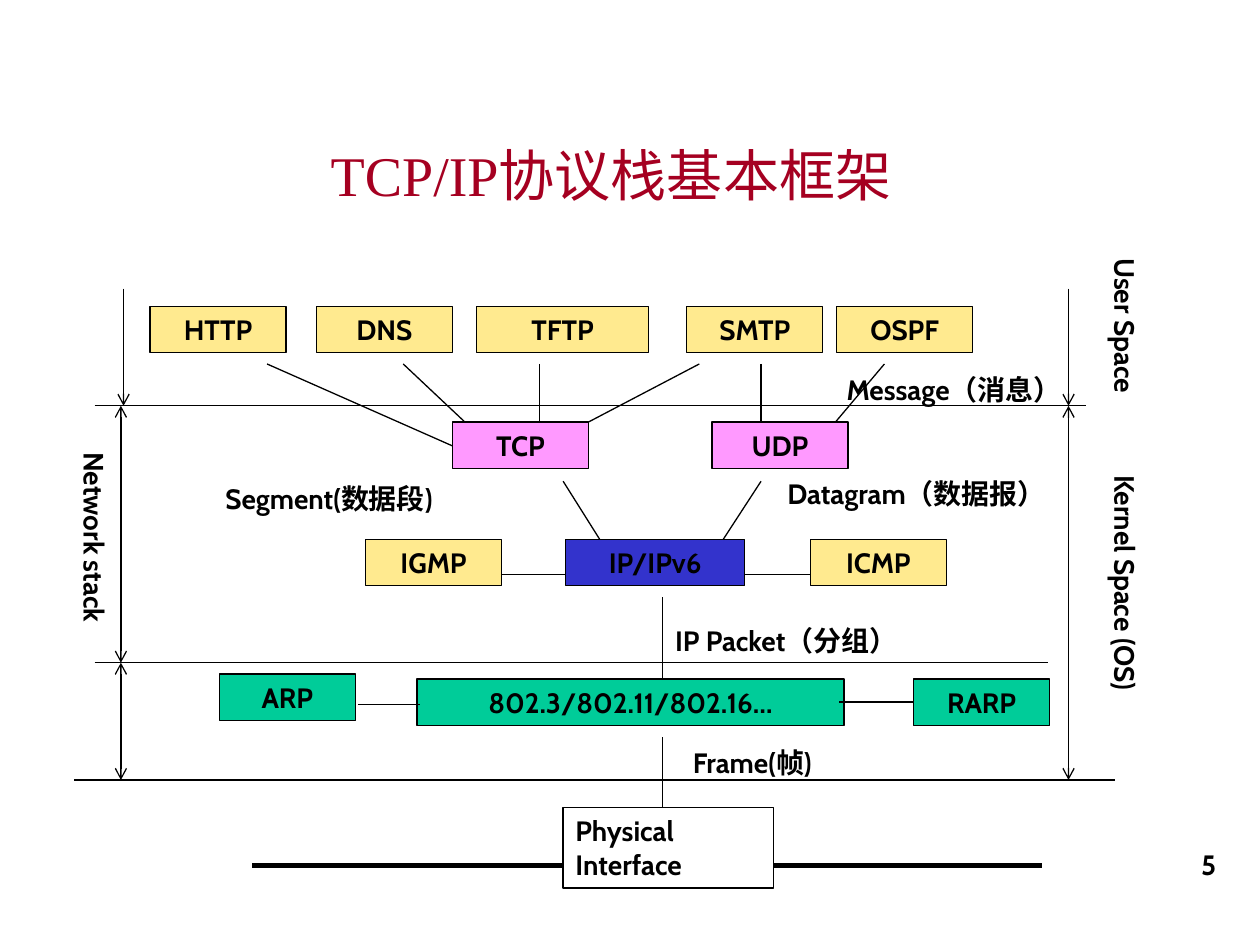
from collections import namedtuple

from lxml.etree import SubElement
from pptx import Presentation
from pptx.dml.color import RGBColor
from pptx.enum.shapes import MSO_CONNECTOR, MSO_SHAPE
from pptx.enum.text import MSO_ANCHOR, PP_ALIGN
from pptx.oxml.ns import qn
from pptx.util import Pt

COLORS = {
    "title": "A50021",
    "ink": "000000",
    "paper": "FFFFFF",
    "yellow": "FFEA8F",
    "pink": "FF99FF",
    "blue": "3333CC",
    "green": "00CC99",
}
NODE_W, NODE_H = 77.8, 26.6
Box = namedtuple("Box", "left top width height")


def rgb(name):
    return RGBColor.from_string(COLORS[name])


def set_text(holder, text, align, anchor=MSO_ANCHOR.TOP, font="Cabin", size=16, color="ink", bold=True):
    frame = holder.text_frame
    frame.word_wrap = True
    frame.vertical_anchor = anchor
    frame.text = text
    paragraph = frame.paragraphs[0]
    paragraph.alignment = align
    for run in paragraph.runs:
        run.font.name = font
        run.font.size = Pt(size)
        run.font.bold = bold
        run.font.color.rgb = rgb(color)


def add_node(slide, box, text, x, y, fill, width=NODE_W, height=NODE_H, align=PP_ALIGN.CENTER):
    node = slide.shapes.add_shape(
        MSO_SHAPE.RECTANGLE, Pt(box.left + x), Pt(box.top + y), Pt(width), Pt(height))
    node.shadow.inherit = False
    node.fill.solid()
    node.fill.fore_color.rgb = rgb(fill)
    node.line.color.rgb = rgb("ink")
    node.line.width = Pt(0.75)
    set_text(node, text, align)


def add_label(slide, box, text, x, y, width, align=PP_ALIGN.LEFT, rotation=0):
    label = slide.shapes.add_textbox(
        Pt(box.left + x), Pt(box.top + y), Pt(width), Pt(NODE_H))
    label.rotation = rotation
    set_text(label, text, align)


def add_link(slide, box, x1, y1, x2, y2, weight=0.75, arrows=()):
    link = slide.shapes.add_connector(
        MSO_CONNECTOR.STRAIGHT,
        Pt(box.left + x1), Pt(box.top + y1), Pt(box.left + x2), Pt(box.top + y2))
    link.line.color.rgb = rgb("ink")
    link.line.width = Pt(weight)
    outline = link.line._get_or_add_ln()
    for end in arrows:
        SubElement(outline, qn(f"a:{end}"), type="arrow")
    SubElement(link._element.spPr, qn("a:effectLst"))


def draw_title(slide, box):
    title = slide.shapes.add_textbox(*map(Pt, box))
    set_text(title, "TCP/IP协议栈基本框架", PP_ALIGN.CENTER, MSO_ANCHOR.MIDDLE,
             "Times New Roman", 32, "title", False)


def draw_page_number(slide, box):
    number = slide.shapes.add_textbox(*map(Pt, box))
    set_text(number, "5", PP_ALIGN.RIGHT, MSO_ANCHOR.BOTTOM)


def draw_application_layer(slide, box):
    for protocol, x, width in [
        ("HTTP", 0, NODE_W), ("DNS", 95, NODE_W), ("TFTP", 186.5, 98.6),
        ("SMTP", 306.7, NODE_W), ("OSPF", 392.4, NODE_W),
    ]:
        add_node(slide, box, protocol, x, 0, "yellow", width)
    add_label(slide, box, "Message（消息）", 391, 34.5, 154.8)


def draw_transport_layer(slide, box):
    for x1, x2, y2 in [
        (30.9, 136.8, 46.8), (108.7, 144, 33.2), (186.5, 186.5, 33.2),
        (277.9, 214.5, 33.2), (313.2, 313.2, 33.2), (383.7, 355.7, 33.2),
    ]:
        add_link(slide, box, x1, 0, x2, y2)
    add_node(slide, box, "TCP", 136.8, 33.2, "pink")
    add_node(slide, box, "UDP", 285.1, 33.2, "pink")
    add_label(slide, box, "Segment(数据段)", 0, 63.4, 170)
    add_label(slide, box, "Datagram（数据报）", 321.1, 60.5, 202.3)


def draw_network_layer(slide, box):
    for ends in [
        (113, 0, 133.9, 33.2), (226.1, 0, 204.5, 33.2),
        (NODE_W, 53.3, 127.4, 53.3), (204.5, 53.3, 254.2, 53.3),
    ]:
        add_link(slide, box, *ends)
    add_node(slide, box, "IGMP", 0, 33.2, "yellow")
    add_node(slide, box, "ICMP", 254.2, 33.2, "yellow")
    add_node(slide, box, "IP/IPv6", 114.5, 33.2, "blue", 102.2)
    add_label(slide, box, "IP Packet（分组）", 169.9, 77.8, 160.6)


def draw_link_layer(slide, box):
    add_node(slide, box, "ARP", 0, 43.9, "green")
    add_node(slide, box, "802.3/802.11/802.16…", 113, 46.8, "green", 244)
    add_node(slide, box, "RARP", 396.7, 46.8, "green")
    for ends in [
        (253.4, 0, 253.4, 46.8), (79.2, 61.2, 114.5, 61.2), (354.2, 59.8, 396.7, 59.8),
    ]:
        add_link(slide, box, *ends)
    add_label(slide, box, "Frame(帧)", 263.5, 81.3, 99.4)


def draw_physical_layer(slide, box):
    add_link(slide, box, 0, box.height, box.width, box.height, 3)
    add_link(slide, box, 234.7, 0, 234.7, box.height)
    add_node(slide, box, "Physical Interface", 177.8, 40.3, "paper", 120.2, 46, PP_ALIGN.LEFT)


def draw_spaces(slide, box):
    kernel_top, link_top, bottom = 67, 213.8, box.height
    for y, start, end in [
        (kernel_top, 11.5, 578.1), (link_top, 11.5, 556.5), (bottom, 0, box.width),
    ]:
        add_link(slide, box, start, y, end, y)
    down, both = ("tailEnd",), ("headEnd", "tailEnd")
    for x, start, end, arrows in [
        (28.1, 0, kernel_top, down), (26.6, kernel_top, link_top, both),
        (26.6, link_top, bottom, both), (568.1, 0, kernel_top, down),
        (568.1, kernel_top, bottom, both),
    ]:
        add_link(slide, box, x, start, x, end, arrows=arrows)
    for space, x, y, width in [
        ("Network stack", -54, 128.9, 131), ("User Space", 548.6, 7.9, 103.7),
        ("Kernel Space (OS)", 519.8, 154.8, 161.3),
    ]:
        add_label(slide, box, space, x, y, width, PP_ALIGN.CENTER, 90)


def main():
    deck = Presentation()
    deck.slide_width, deck.slide_height = Pt(720), Pt(540)
    slide = deck.slides.add_slide(deck.slide_layouts[6])
    draw_title(slide, Box(25.2, 65.5, 648, 67.7))
    draw_page_number(slide, Box(552.2, 470.9, 149.8, 36))
    draw_application_layer(slide, Box(85.7, 175, 546, 61))
    draw_transport_layer(slide, Box(121.7, 208, 523.4, 90))
    draw_network_layer(slide, Box(208.8, 275, 332, 104.4))
    draw_link_layer(slide, Box(125.3, 341.3, 474.5, 108))
    draw_physical_layer(slide, Box(144, 421.2, 451.4, 73.4))
    draw_spaces(slide, Box(42.5, 164.9, 594.7, 280.8))
    deck.save("out.pptx")


if __name__ == "__main__":
    main()
